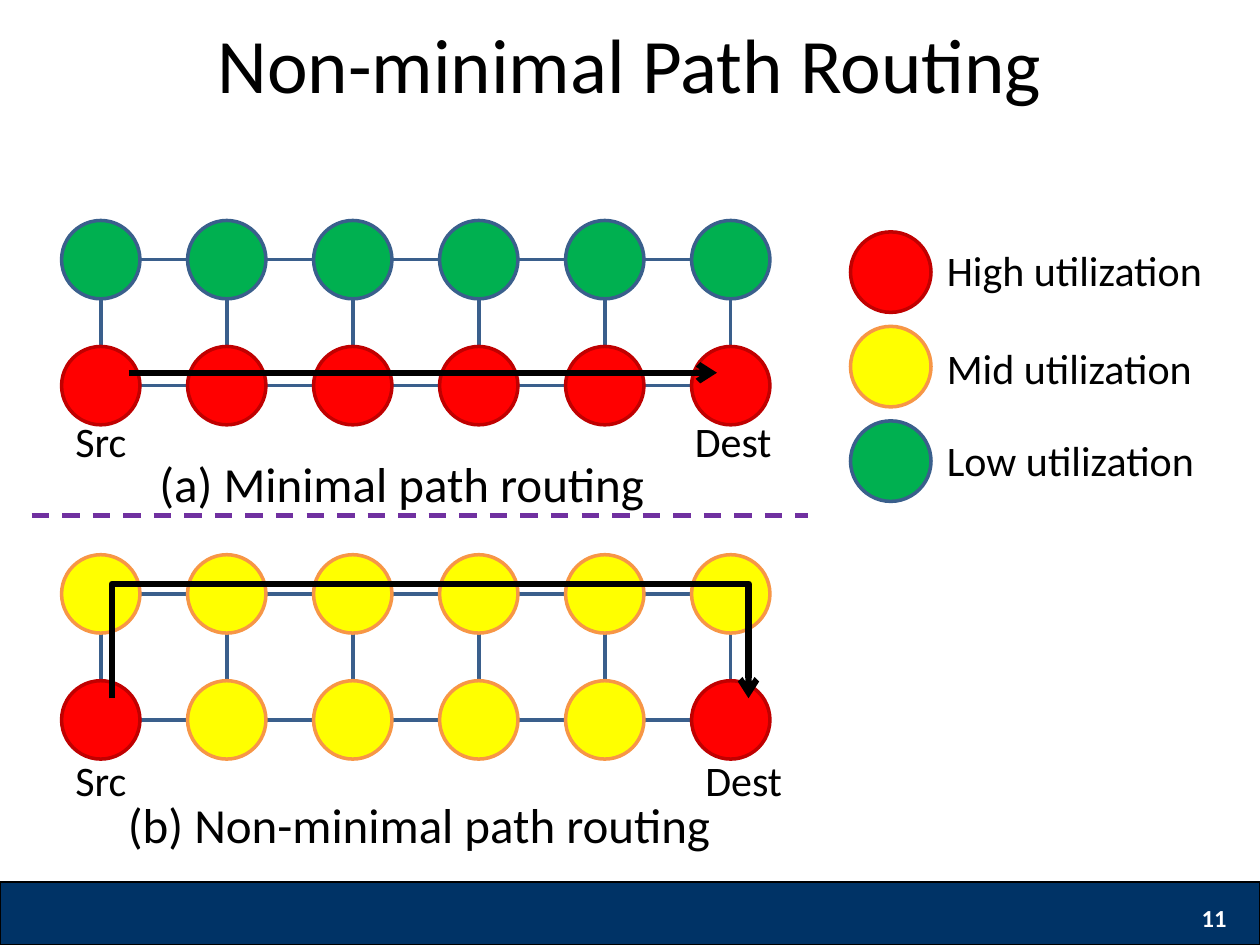
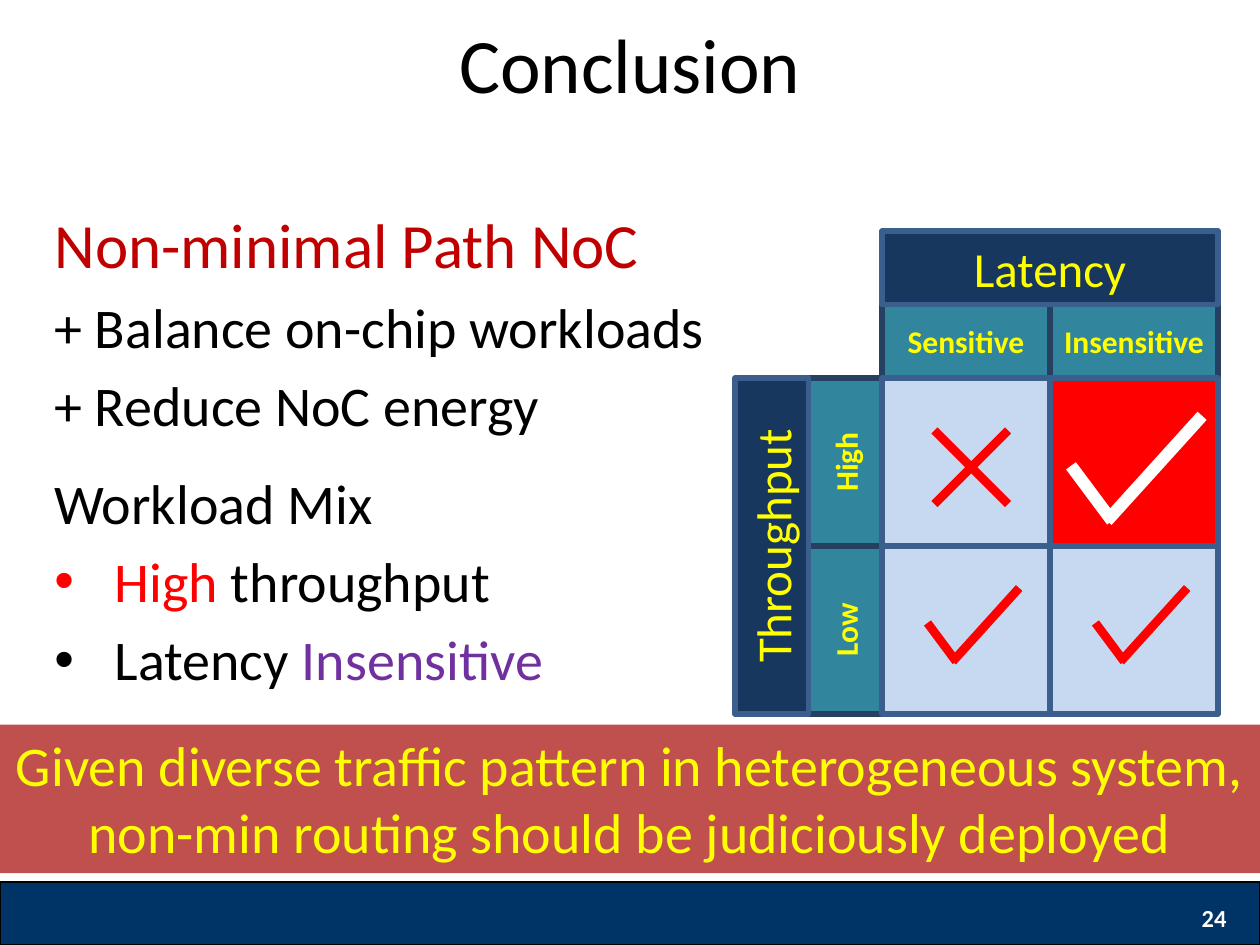
from lxml import etree
from pptx import Presentation
from pptx import util as u
from pptx.dml import color as c
from pptx.enum import dml, shapes, text
from pptx.oxml import ns

FONT = "Calibri"
BLACK, WHITE, YELLOW, RED = "000000", "FFFFFF", "FFFF00", "FF0000"
EDGE, NAVY, TEAL, PALE = "3A5F8C", "17375E", "31859C", "C6D9F1"
CRIMSON, PURPLE = "C00000", "7030A0"
LOW, MID, HIGH = ("00B050", EDGE), (YELLOW, "F79646"), (RED, CRIMSON)
LEFT, CENTER, RIGHT = text.PP_ALIGN.LEFT, text.PP_ALIGN.CENTER, text.PP_ALIGN.RIGHT
TOP, MIDDLE = text.MSO_ANCHOR.TOP, text.MSO_ANCHOR.MIDDLE
RECT, OVAL = shapes.MSO_SHAPE.RECTANGLE, shapes.MSO_SHAPE.OVAL


def rgb(value):
    return c.RGBColor.from_string(value)


def set_format(target, values):
    for name, value in values.items():
        setattr(target, name, value)


class Deck:
    def __init__(self):
        self.prs = Presentation()
        set_format(self.prs, {"slide_width": u.Pt(720), "slide_height": u.Pt(540)})

    def slide(self, title, number):
        self.s = self.prs.slides.add_slide(self.prs.slide_layouts[5])
        self.shape(RECT, 0, 504, 720, 36, "003366", BLACK, 0.75)
        self.label(number, 540, 510, 168, 28.8, 14, color=WHITE, bold=True,
                   align=RIGHT, anchor=MIDDLE)
        sp = self.s.shapes.title
        set_format(sp, {"left": u.Pt(18), "top": u.Pt(12),
                        "width": u.Pt(684), "height": u.Pt(48)})
        self.fill_text(sp, [[(title, BLACK)]], 44, align=CENTER, anchor=MIDDLE)

    def fill_text(self, sp, lines, size, bold=False, align=LEFT, anchor=TOP, before=0):
        tf = sp.text_frame
        set_format(tf, {"word_wrap": True, "auto_size": text.MSO_AUTO_SIZE.NONE,
                        "vertical_anchor": anchor})
        for i, runs in enumerate(lines):
            p = tf.add_paragraph() if i else tf.paragraphs[0]
            set_format(p, {"alignment": align, "space_before": u.Pt(before if i else 0)})
            for words, color in runs:
                r = p.add_run()
                r.text = words
                set_format(r.font, {"name": FONT, "size": u.Pt(size), "bold": bold})
                r.font.color.rgb = rgb(color)
        return tf

    def label(self, words, x, y, w, h, size, color=BLACK, **style):
        return self.paragraphs([[(words, color)]], x, y, w, h, size, **style)

    def paragraphs(self, lines, x, y, w, h, size, **style):
        sp = self.s.shapes.add_textbox(u.Pt(x), u.Pt(y), u.Pt(w), u.Pt(h))
        return self.fill_text(sp, lines, size, **style)

    def bullet(self, p, indent):
        pPr = p._p.get_or_add_pPr()
        pPr.set("marL", str(u.Pt(indent)))
        pPr.set("indent", str(-u.Pt(indent)))
        etree.SubElement(pPr, ns.qn("a:buFont")).set("typeface", "Arial")
        etree.SubElement(pPr, ns.qn("a:buChar")).set("char", "•")

    def outline(self, sp, color, width):
        sp.line.color.rgb = rgb(color)
        sp.line.width = u.Pt(width)

    def shape(self, kind, x, y, w, h, fill=None, line=None, width=2):
        sp = self.s.shapes.add_shape(kind, u.Pt(x), u.Pt(y), u.Pt(w), u.Pt(h))
        sp.shadow.inherit = False
        if fill:
            sp.fill.solid()
            sp.fill.fore_color.rgb = rgb(fill)
        else:
            sp.fill.background()
        if line:
            self.outline(sp, line, width)
        else:
            sp.line.fill.background()
        return sp

    def heading(self, words, x, y, w, h, fill, line, size, bold=False, upright=False):
        if upright:
            x, y, w, h = x + (w - h) / 2, y + (h - w) / 2, h, w
        sp = self.shape(RECT, x, y, w, h, fill, line, 3)
        sp.rotation = 270 if upright else 0
        self.fill_text(sp, [[(words, YELLOW)]], size, bold, CENTER, MIDDLE)

    def circle(self, cx, cy, size, level):
        self.shape(OVAL, cx - size / 2, cy - size / 2, size, size, *level)

    def arrowhead(self, sp):
        ln = sp._element.spPr.get_or_add_ln()
        etree.SubElement(ln, ns.qn("a:tailEnd")).set("type", "arrow")

    def line(self, x1, y1, x2, y2, color, width, dash=None):
        sp = self.s.shapes.add_connector(shapes.MSO_CONNECTOR.STRAIGHT,
                                         u.Pt(x1), u.Pt(y1), u.Pt(x2), u.Pt(y2))
        self.outline(sp, color, width)
        if dash:
            sp.line.dash_style = dash
        etree.SubElement(sp._element.spPr, ns.qn("a:effectLst"))
        return sp

    def route(self, points, color, width):
        start, *rest = [(u.Pt(x), u.Pt(y)) for x, y in points]
        fb = self.s.shapes.build_freeform(*start)
        fb.add_line_segments(rest, close=False)
        sp = fb.convert_to_shape()
        sp.shadow.inherit = False
        sp.fill.background()
        self.outline(sp, color, width)
        self.arrowhead(sp)

    def mesh(self, x, y, rows, step=72):
        for i in range(len(rows[0]) - 1):
            self.shape(RECT, x + i * step, y, step, step, line=EDGE)
        for j, row in enumerate(rows):
            for i, level in enumerate(row):
                self.circle(x + i * step, y + j * step, 44.8, level)

    def check(self, x, y, color, width, scale=1):
        for stroke in ((0, 20, 16.4, 42), (14.4, 42, 52.4, 0)):
            x1, y1, x2, y2 = (v * scale for v in stroke)
            self.line(x + x1, y + y1, x + x2, y + y2, color, width)


def routing(d):
    d.slide("Non-minimal Path Routing", "11")
    levels = ((HIGH, "High utilization", 136), (MID, "Mid utilization", 192),
              (LOW, "Low utilization", 245))
    for i, (level, words, y) in enumerate(levels):
        d.circle(509, 155.5 + 54 * i, 46, level)
        d.label(words, 534, y, 174, 36, 24)

    d.mesh(57.6, 148.4, [[LOW] * 6, [HIGH] * 6])
    d.arrowhead(d.line(73.5, 213, 409.7, 213, BLACK, 3.5))
    d.mesh(57.6, 339.4, [[MID] * 6, [HIGH] + [MID] * 4 + [HIGH]])
    d.route([(64, 399), (64, 333.5), (427.7, 333.5), (427.7, 399)], BLACK, 3.5)

    for y, dest_x in ((234, 390), (427.7, 396)):
        d.label("Src", 36, y, 54.7, 36, 24)
        d.label("Dest", dest_x, y, 66, 36, 24)
    d.label("(a) Minimal path routing", 84, 255.6, 324, 41, 28)
    d.label("(b) Non-minimal path routing", 66, 450.7, 378, 41, 28)
    d.line(18, 294.5, 462, 294.5, PURPLE, 2.5, dml.MSO_LINE.DASH)


def conclusion(d):
    d.slide("Conclusion", "24")
    tf = d.paragraphs([[("Non-minimal Path NoC", CRIMSON)],
                       [("+ Balance on-chip workloads", BLACK)],
                       [("+ Reduce NoC energy", BLACK)]],
                      24, 114, 396, 150, 32, before=6.4)
    tf.paragraphs[0].runs[0].font.size = u.Pt(36)
    tf = d.paragraphs([[("Workload Mix", BLACK)],
                       [("High", RED), (" throughput", BLACK)],
                       [("Latency ", BLACK), ("Insensitive", PURPLE)]],
                      24, 264, 360, 150, 32, before=6.4)
    for p in tf.paragraphs[1:]:
        d.bullet(p, 34.4)

    x, y, cell, band = 504, 216, 96, 42
    for i, (column, row) in enumerate((("Sensitive", "High"), ("Insensitive", "Low"))):
        d.heading(column, x + i * cell, y - band, cell, band, TEAL, "254061", 18, True)
        d.heading(row, x - band, y + i * cell, band, cell, TEAL, "254061", 18, True, True)
    d.heading("Latency", x, y - 2 * band, 2 * cell, band, NAVY, EDGE, 28)
    d.heading("Throughput", x - 2 * band, y, band, 2 * cell, NAVY, EDGE, 28, upright=True)
    for j, fills in enumerate(((PALE, RED), (PALE, PALE))):
        for i, fill in enumerate(fills):
            d.shape(RECT, x + i * cell, y + j * cell, cell, cell, fill, EDGE, 3)

    d.line(534, 246, 576, 288, RED, 5)
    d.line(534, 288, 576, 246, RED, 5)
    d.check(612, 237.6, WHITE, 7, 1.43)
    for i in range(2):
        d.check(x + i * cell + 26, 336, RED, 5)

    banner = d.shape(RECT, 0, 414, 720, 85, "C0504D")
    d.fill_text(banner, [[("Given diverse traffic pattern in heterogeneous system, "
                           "non-min routing should be judiciously deployed", YELLOW)]],
                32, align=CENTER)


def main():
    d = Deck()
    routing(d)
    conclusion(d)
    d.prs.save("out.pptx")


if __name__ == "__main__":
    main()
